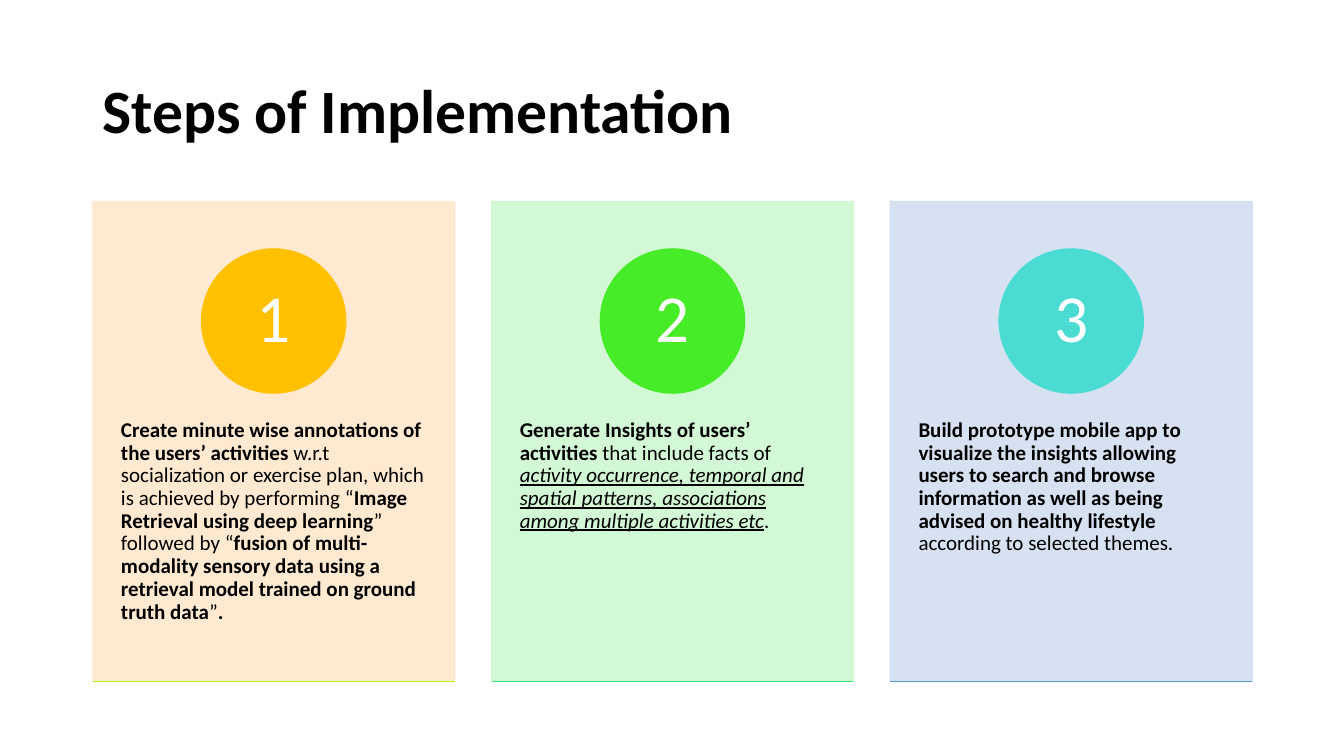
from lxml.etree import SubElement
from pptx import Presentation
from pptx.dml.color import RGBColor
from pptx.enum.shapes import MSO_CONNECTOR as Connector, MSO_SHAPE as Shape
from pptx.enum.text import MSO_ANCHOR as Anchor, PP_ALIGN as Align
from pptx.oxml.ns import qn
from pptx.util import Inches, Pt

TITLE = "Steps of Implementation"

# Each run is (text, style): b = bold, i = italic, u = underlined
STEPS = [
    {"card": "FFE8CC", "badge": "FFC000", "base": "B2F514", "body": [
        ("Create minute wise annotations of the users’ activities", "b"),
        (" w.r.t socialization or exercise plan, which is achieved by performing “", ""),
        ("Image Retrieval using deep learning", "b"),
        ("” followed by “", ""),
        ("fusion of multi-modality sensory data using a retrieval model "
         "trained on ground truth data", "b"),
        ("”", ""),
        (".", "b")]},
    {"card": "CFF8D1", "badge": "46EC27", "base": "39E37B", "body": [
        ("Generate Insights of users’ activities", "b"),
        (" that include facts of ", ""),
        ("activity occurrence, temporal and spatial patterns, associations "
         "among multiple activities etc", "iu"),
        (".", "")]},
    {"card": "D2DFF0", "badge": "4ADCD2", "base": "5B9BD5", "body": [
        ("Build prototype mobile app to visualize the insights allowing users to "
         "search and browse information as well as being advised on healthy lifestyle", "b"),
        (" according to selected themes.", "")]},
]

THEME = {"font": "Calibri", "text": "000000", "number": "FFFFFF",
         "title_size": 44, "number_size": 48, "body_size": 15,
         "line_width": 1, "card_opacity": 90}

SLIDE_W, SLIDE_H = 13.33, 7.5
LEFT, CONTENT_W = 0.92, 11.5
CARD_TOP, CARD_W, CARD_H = 2, 3.59, 4.76
CARD_STEP = (CONTENT_W - CARD_W) / (len(STEPS) - 1)
BADGE_TOP, BADGE_D = 2.47, 1.43
BODY_TOP, BODY_H = 3.8, 2.86


def write(shape, runs, size, color=THEME["text"], align=Align.LEFT,
          anchor=Anchor.TOP, insets=(0.1, 0.05)):
    """Fill a shape with one paragraph of (text, style) runs."""
    frame = shape.text_frame
    frame.word_wrap = True
    frame.vertical_anchor = anchor
    frame.margin_left = frame.margin_right = Inches(insets[0])
    frame.margin_top = frame.margin_bottom = Inches(insets[1])
    paragraph = frame.paragraphs[0]
    paragraph.alignment = align
    paragraph.line_spacing = 0.9
    for text, style in runs:
        run = paragraph.add_run()
        run.text = text
        font = run.font
        font.name, font.size = THEME["font"], Pt(size)
        font.color.rgb = RGBColor.from_string(color)
        font.bold, font.italic, font.underline = (mark in style for mark in "biu")


def add_text_box(slide, box, runs, size, **style):
    write(slide.shapes.add_textbox(*map(Inches, box)), runs, size, **style)


def add_solid(slide, kind, box, color, opacity=100):
    """Add a shape whose fill and outline share one colour."""
    shape = slide.shapes.add_shape(kind, *map(Inches, box))
    shape.shadow.inherit = False
    shape.fill.solid()
    shape.line.width = Pt(THEME["line_width"])
    for paint in (shape.fill.fore_color, shape.line.color):
        paint.rgb = RGBColor.from_string(color)
    if opacity < 100:
        for node in list(shape._element.spPr.iter(qn("a:srgbClr"))):
            SubElement(node, qn("a:alpha"), val=str(opacity * 1000))
    return shape


def add_base_line(slide, left, y, width, color):
    line = slide.shapes.add_connector(
        Connector.STRAIGHT, *map(Inches, (left, y, left + width, y)))
    line.line.width = Pt(THEME["line_width"])
    line.line.color.rgb = RGBColor.from_string(color)
    SubElement(line._element.spPr, qn("a:effectLst"))


def add_step(slide, number, step):
    left = LEFT + (number - 1) * CARD_STEP
    add_solid(slide, Shape.RECTANGLE, (left, CARD_TOP, CARD_W, CARD_H),
              step["card"], THEME["card_opacity"])
    add_text_box(slide, (left, BODY_TOP, CARD_W, BODY_H), step["body"],
                 THEME["body_size"], insets=(0.28, 0.36))
    badge_left = left + (CARD_W - BADGE_D) / 2
    badge = add_solid(slide, Shape.OVAL, (badge_left, BADGE_TOP, BADGE_D, BADGE_D),
                      step["badge"])
    write(badge, [(str(number), "")], THEME["number_size"], color=THEME["number"],
          align=Align.CENTER, anchor=Anchor.MIDDLE, insets=(0.11, 0.01))
    add_base_line(slide, left, CARD_TOP + CARD_H, CARD_W, step["base"])


def main():
    deck = Presentation()
    deck.slide_width, deck.slide_height = Inches(SLIDE_W), Inches(SLIDE_H)
    slide = deck.slides.add_slide(deck.slide_layouts[6])
    add_text_box(slide, (LEFT, 0.4, CONTENT_W, 1.45), [(TITLE, "b")],
                 THEME["title_size"], anchor=Anchor.MIDDLE)
    for number, step in enumerate(STEPS, start=1):
        add_step(slide, number, step)
    deck.save("out.pptx")


if __name__ == "__main__":
    main()
